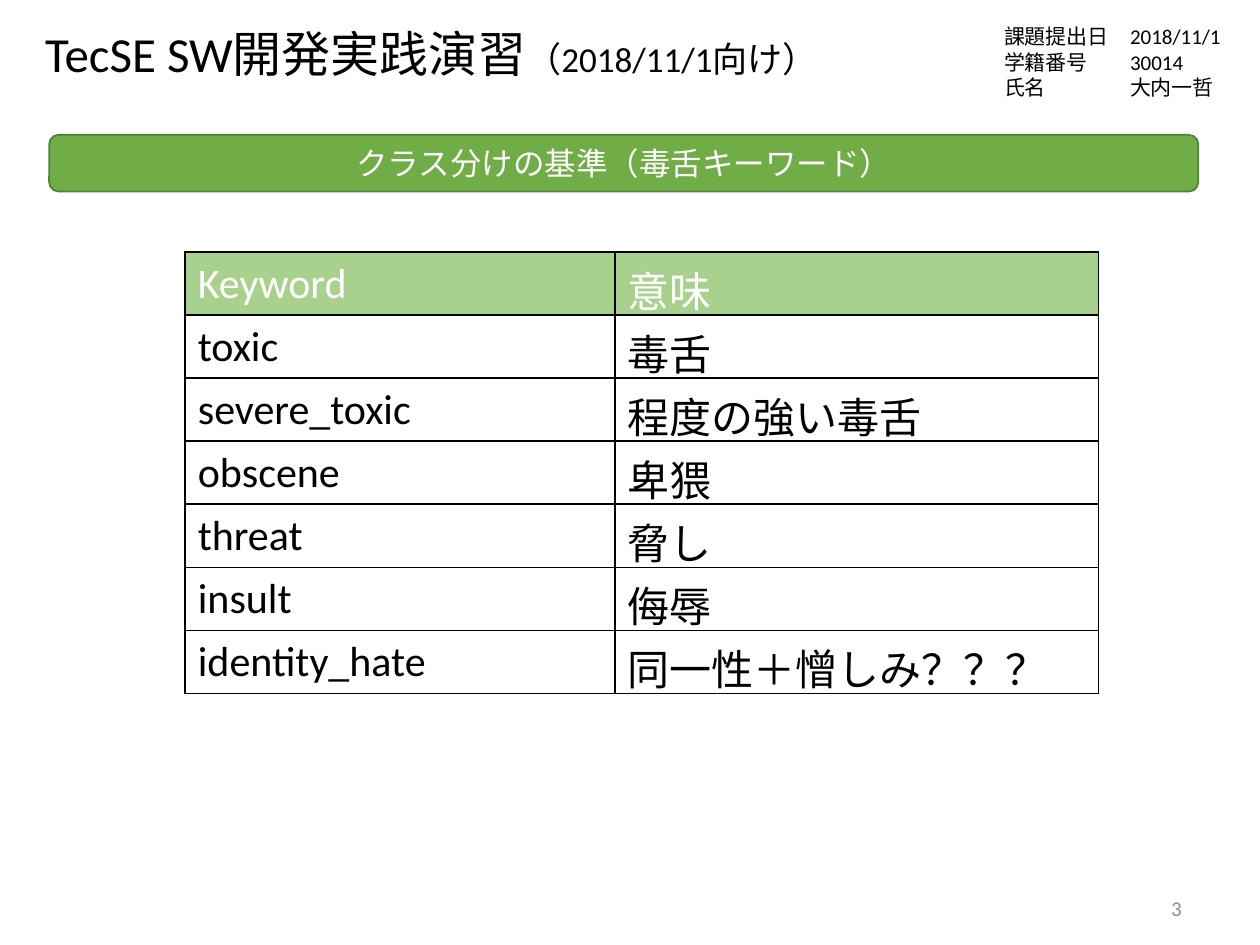
from dataclasses import dataclass

from pptx import Presentation
from pptx.dml.color import RGBColor
from pptx.enum.shapes import MSO_SHAPE
from pptx.enum.text import MSO_ANCHOR, PP_ALIGN
from pptx.oxml import parse_xml
from pptx.oxml.ns import nsdecls
from pptx.util import Inches, Pt

ROUNDED = MSO_SHAPE.ROUNDED_RECTANGLE
TOP, MIDDLE = MSO_ANCHOR.TOP, MSO_ANCHOR.MIDDLE
LEFT, CENTER, RIGHT = PP_ALIGN.LEFT, PP_ALIGN.CENTER, PP_ALIGN.RIGHT


@dataclass(frozen=True)
class Theme:
    font: str = "Calibri"
    black: str = "000000"
    white: str = "FFFFFF"
    grey: str = "8C8C8C"
    green: str = "70AD47"
    dark_green: str = "538035"
    light_green: str = "A9D18E"
    title: int = 28
    subtitle: int = 20
    banner: int = 18
    table: int = 24
    small: int = 12


class SlideBuilder:
    def __init__(self, slide, theme):
        self.slide = slide
        self.theme = theme

    def fill_text(self, frame, paragraphs, color, align=LEFT, **formats):
        """Fill a frame; each paragraph is a list of (text, size) spans."""
        for name, value in formats.items():
            setattr(frame, name, value)
        for index, spans in enumerate(paragraphs):
            para = frame.add_paragraph() if index else frame.paragraphs[0]
            para.alignment = align
            for text, size in spans:
                span = para.add_run()
                span.text = text
                span.font.color.rgb = RGBColor.from_string(color)
                for name, value in {"name": self.theme.font, "size": Pt(size)}.items():
                    setattr(span.font, name, value)

    def text(self, place, paragraphs, color, align=LEFT, **formats):
        box = self.slide.shapes.add_textbox(*map(Inches, place))
        self.fill_text(box.text_frame, paragraphs, color, align,
                       word_wrap=True, **formats)

    def banner(self, place, text):
        theme = self.theme
        shape = self.slide.shapes.add_shape(ROUNDED, *map(Inches, place))
        shape.shadow.inherit = False
        shape.fill.solid()
        shape.fill.fore_color.rgb = RGBColor.from_string(theme.green)
        shape.line.color.rgb = RGBColor.from_string(theme.dark_green)
        shape.line.width = Pt(1)
        self.fill_text(shape.text_frame, [[(text, theme.banner)]], theme.white, CENTER,
                       word_wrap=True, vertical_anchor=TOP)

    def table(self, place, widths, rows):
        theme = self.theme
        frame = self.slide.shapes.add_table(len(rows), len(widths), *map(Inches, place))
        table = frame.table
        table.first_row = table.horz_banding = False
        for column, width in zip(table.columns, widths):
            column.width = Inches(width)
        for row_index, row in enumerate(rows):
            header = row_index == 0
            for column_index, text in enumerate(row):
                cell = table.cell(row_index, column_index)
                self.fill_text(cell.text_frame, [[(text, theme.table)]],
                               theme.white if header else theme.black)
                self.borders(cell)
                if header:
                    cell.fill.solid()
                    cell.fill.fore_color.rgb = RGBColor.from_string(theme.light_green)
                else:
                    cell.fill.background()

    def borders(self, cell):
        properties = cell._tc.get_or_add_tcPr()
        for side in ("lnL", "lnR", "lnT", "lnB"):
            properties.append(parse_xml(
                f'<a:{side} {nsdecls("a")} w="{Pt(1)}"><a:solidFill>'
                f'<a:srgbClr val="{self.theme.black}"/></a:solidFill></a:{side}>'))


def main():
    deck = Presentation()
    deck.slide_width, deck.slide_height = Inches(10), Inches(7.5)
    theme = Theme()
    page = SlideBuilder(deck.slides.add_slide(deck.slide_layouts[6]), theme)

    # Submission details
    details = ["課題提出日\t2018/11/1", "学籍番号\t30014", "氏名\t\t大内一哲"]
    page.text((7.87, 0.14, 2.11, 0.71),
              [[(line, theme.small)] for line in details], theme.black)

    # Title
    page.text((0.26, 0.14, 9.47, 0.57),
              [[("TecSE SW開発実践演習", theme.title),
                ("（2018/11/1向け）", theme.subtitle)]], theme.black)

    # Page number
    page.text((8.42, 7.01, 0.96, 0.4), [[("3", theme.small)]], theme.grey, RIGHT,
              vertical_anchor=MIDDLE, margin_right=0)

    # Section banner
    page.banner((0.39, 1.07, 9.12, 0.45), "クラス分けの基準（毒舌キーワード）")

    # Keyword table
    page.table((1.47, 2, 7.25, 3.5), (3.41, 3.84), [
        ("Keyword", "意味"),
        ("toxic", "毒舌"),
        ("severe_toxic", "程度の強い毒舌"),
        ("obscene", "卑猥"),
        ("threat", "脅し"),
        ("insult", "侮辱"),
        ("identity_hate", "同一性＋憎しみ？？？"),
    ])

    deck.save("out.pptx")


if __name__ == "__main__":
    main()
